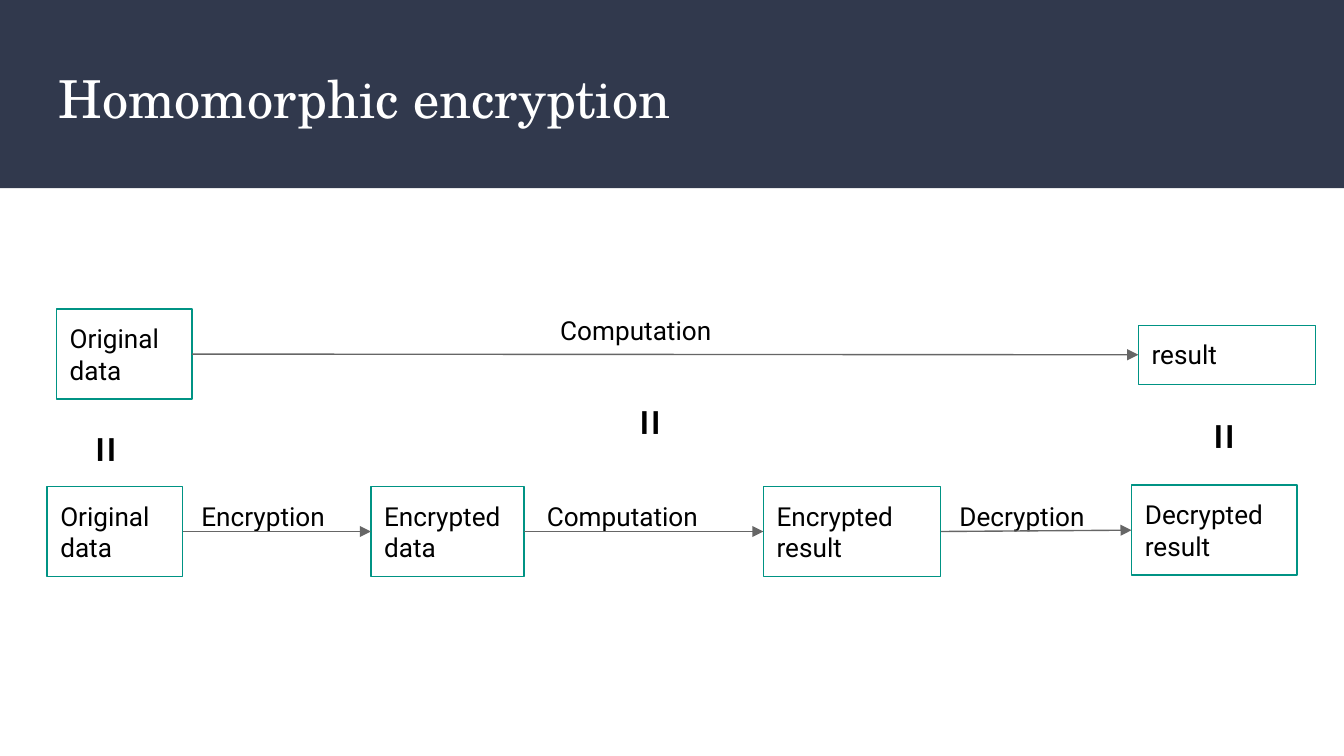
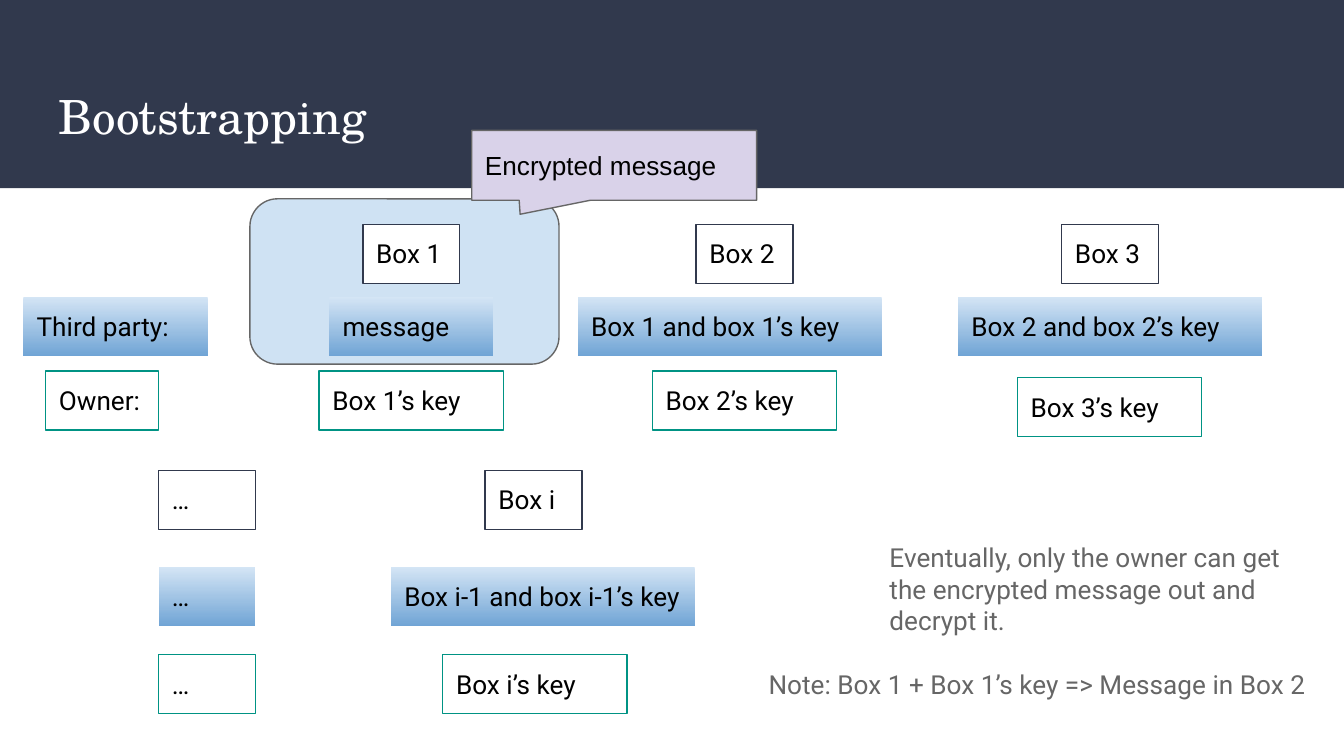
from lxml.etree import SubElement
from pptx import Presentation
from pptx.dml.color import RGBColor
from pptx.enum.shapes import MSO_CONNECTOR, MSO_SHAPE
from pptx.enum.text import MSO_ANCHOR, PP_ALIGN
from pptx.oxml.ns import qn
from pptx.util import Inches, Pt

WIDTH = 10
HEIGHT = WIDTH * 9 / 16
BAND_HEIGHT = 1.4
INSET = 0.1
LINE_HEIGHT = 0.44
TWO_LINES = 0.67
COLORS = {
    "navy": "31394D", "teal": "009384", "gray": "666666", "white": "FFFFFF",
    "black": "000000", "sky": "CFE2F3", "lilac": "D9D2E9",
    "fade_top": "D4E5F5", "fade_bottom": "70A4D5",
}
FADE = ("fade_top", "fade_bottom")

STAGES = {
    "plain data": ("Original\ndata", 0.42, 2.3, 1.01, TWO_LINES, "white"),
    "plain result": ("result", 8.47, 2.42, 1.32, LINE_HEIGHT, None),
    "owner data": ("Original\ndata", 0.35, 3.62, 1.01, TWO_LINES, "white"),
    "encrypted data": ("Encrypted\ndata", 2.76, 3.62, 1.14, TWO_LINES, None),
    "encrypted result": ("Encrypted result", 5.68, 3.62, 1.32, TWO_LINES, None),
    "decrypted result": ("Decrypted\nresult", 8.42, 3.61, 1.23, TWO_LINES, None),
}
STEPS = [
    ("Computation", "plain data", "plain result", 4.07, 2.24, 1.57, TWO_LINES),
    ("Encryption", "owner data", "encrypted data", 1.4, 3.62, 1.32, LINE_HEIGHT),
    ("Computation", "encrypted data", "encrypted result", 3.97, 3.62, 1.57, TWO_LINES),
    ("Decryption", "encrypted result", "decrypted result", 7.04, 3.62, 1.23, LINE_HEIGHT),
]
EQUALS = [(0.35, 3.24), (4.4, 3.04), (8.67, 3.14)]

TIERS = {
    "box": {"line": "navy"},
    "third party": {"fill": FADE},
    "owner": {"line": "teal"},
}
ROWS = {
    "upper": {"box": 1.67, "third party": 2.21, "owner": 2.76},
    "lower": {"box": 3.5, "third party": 4.22, "owner": 4.87},
}
BOX, KEY, HELD = 0.72, 1.37, 2.26
HOLDINGS = [
    ("upper", "third party", 0.86, [("Third party:", KEY)]),
    ("upper", "owner", 0.76, [("Owner:", 0.84)]),
    ("upper", "box", 3.06, [("Box 1", BOX), ("message", 1.22), ("Box 1’s key", KEY)]),
    ("upper", "box", 5.54, [("Box 2", BOX)]),
    ("upper", "third party", 5.43, [("Box 1 and box 1’s key", HELD)]),
    ("upper", "owner", 5.54, [("Box 2’s key", KEY)]),
    ("upper", "box", 8.26, [("Box 3", BOX), ("Box 2 and box 2’s key", HELD)]),
    ("lower", "box", 1.54, [("…", BOX)] * 3),
    ("lower", "box", 3.97, [("Box i", BOX)]),
    ("lower", "third party", 4.04, [("Box i-1 and box i-1’s key", HELD)]),
    ("lower", "owner", 3.98, [("Box i’s key", KEY)]),
]
LAST_KEY = ("Box 3’s key", 7.57, 2.81, KEY, LINE_HEIGHT)
REMARKS = [
    ("Eventually, only the owner can get the encrypted message out and decrypt it.",
     6.52, 3.93, 3.14, 0.91),
    ("Note: Box 1 + Box 1’s key => Message in Box 2", 5.62, 4.87, 4.28, LINE_HEIGHT),
]


def rgb(name):
    return RGBColor.from_string(COLORS[name])


def write(shape, text, size=14, font="Roboto", color="black", anchor=MSO_ANCHOR.TOP):
    frame = shape.text_frame
    frame.word_wrap = True
    frame.vertical_anchor = anchor
    frame.margin_left = frame.margin_right = Inches(INSET)
    frame.margin_top = frame.margin_bottom = Inches(INSET)
    frame.text = text
    for paragraph in frame.paragraphs:
        paragraph.alignment = PP_ALIGN.LEFT
        paragraph.font.size = Pt(size)
        paragraph.font.name = font
        paragraph.font.color.rgb = rgb(color)


def add_text(slide, text, left, top, width, height, rotation=0, **style):
    box = slide.shapes.add_textbox(*map(Inches, (left, top, width, height)))
    box.rotation = rotation
    write(box, text, **style)


def add_panel(slide, left, top, width, height, kind=MSO_SHAPE.RECTANGLE,
              fill=None, line=None, text=None, **style):
    panel = slide.shapes.add_shape(kind, *map(Inches, (left, top, width, height)))
    panel.shadow.inherit = False
    if fill is None:
        panel.fill.background()
    elif fill == FADE:
        panel.fill.gradient()
        panel.fill.gradient_angle = 270
        for position, (stop, shade) in enumerate(zip(panel.fill.gradient_stops, fill)):
            stop.position = position
            stop.color.rgb = rgb(shade)
    else:
        panel.fill.solid()
        panel.fill.fore_color.rgb = rgb(fill)
    if line:
        panel.line.color.rgb = rgb(line)
        panel.line.width = Pt(0.75)
    else:
        panel.line.fill.background()
    if text:
        write(panel, text, **style)
    return panel


def add_arrow(slide, source, target):
    arrow = slide.shapes.add_connector(MSO_CONNECTOR.STRAIGHT, 0, 0, 0, 0)
    arrow.begin_connect(source, 3)
    arrow.end_connect(target, 1)
    arrow.line.color.rgb = rgb("gray")
    arrow.line.width = Pt(0.75)
    properties = arrow._element.spPr
    SubElement(properties.find(qn("a:ln")), qn("a:tailEnd"), type="triangle")
    SubElement(properties, qn("a:effectLst"))


def add_slide(deck):
    slide = deck.slides.add_slide(deck.slide_layouts[6])
    add_panel(slide, 0, 0, WIDTH, BAND_HEIGHT, fill="navy")
    return slide


def add_title(slide, text, top, size):
    add_text(slide, text, 0.34, top, 9.32, 0.68, size=size,
             font="TeX Gyre Schola", color="white")


def build_encryption(deck):
    slide = add_slide(deck)
    add_title(slide, "Homomorphic encryption", 0.39, 28)
    stages = {
        name: add_panel(slide, *place, fill=fill, line="teal", text=text)
        for name, (text, *place, fill) in STAGES.items()
    }
    for text, source, target, *place in STEPS:
        add_panel(slide, *place, fill="white", line="white", text=text)
        add_arrow(slide, stages[source], stages[target])
    for left, top in EQUALS:
        add_text(slide, "=", left, top, 0.92, 0.71, rotation=90, size=30)


def build_bootstrapping(deck):
    slide = add_slide(deck)
    add_panel(slide, 1.86, 1.48, 2.3, 1.23, kind=MSO_SHAPE.ROUNDED_RECTANGLE,
              fill="sky", line="gray")
    add_title(slide, "Bootstrapping", 0.55, 25.2)
    tiers = list(TIERS)
    for row, first, center, items in HOLDINGS:
        for tier, (text, width) in zip(tiers[tiers.index(first):], items):
            look = dict(TIERS[tier])
            if text == "Box 1":
                look["fill"] = "white"
            add_panel(slide, center - width / 2, ROWS[row][tier], width, LINE_HEIGHT,
                      text=text, **look)
    text, *place = LAST_KEY
    add_panel(slide, *place, text=text, **TIERS["owner"])
    for text, *place in REMARKS:
        add_text(slide, text, *place, color="gray")
    callout = add_panel(slide, 3.51, 0.97, 2.12, 0.52,
                        kind=MSO_SHAPE.RECTANGULAR_CALLOUT, fill="lilac", line="gray",
                        text="Encrypted message", font="Arial", anchor=MSO_ANCHOR.MIDDLE)
    callout.adjustments[0] = -0.33
    callout.adjustments[1] = 0.7


def main():
    deck = Presentation()
    deck.slide_width, deck.slide_height = Inches(WIDTH), Inches(HEIGHT)
    build_encryption(deck)
    build_bootstrapping(deck)
    deck.save("out.pptx")


if __name__ == "__main__":
    main()
